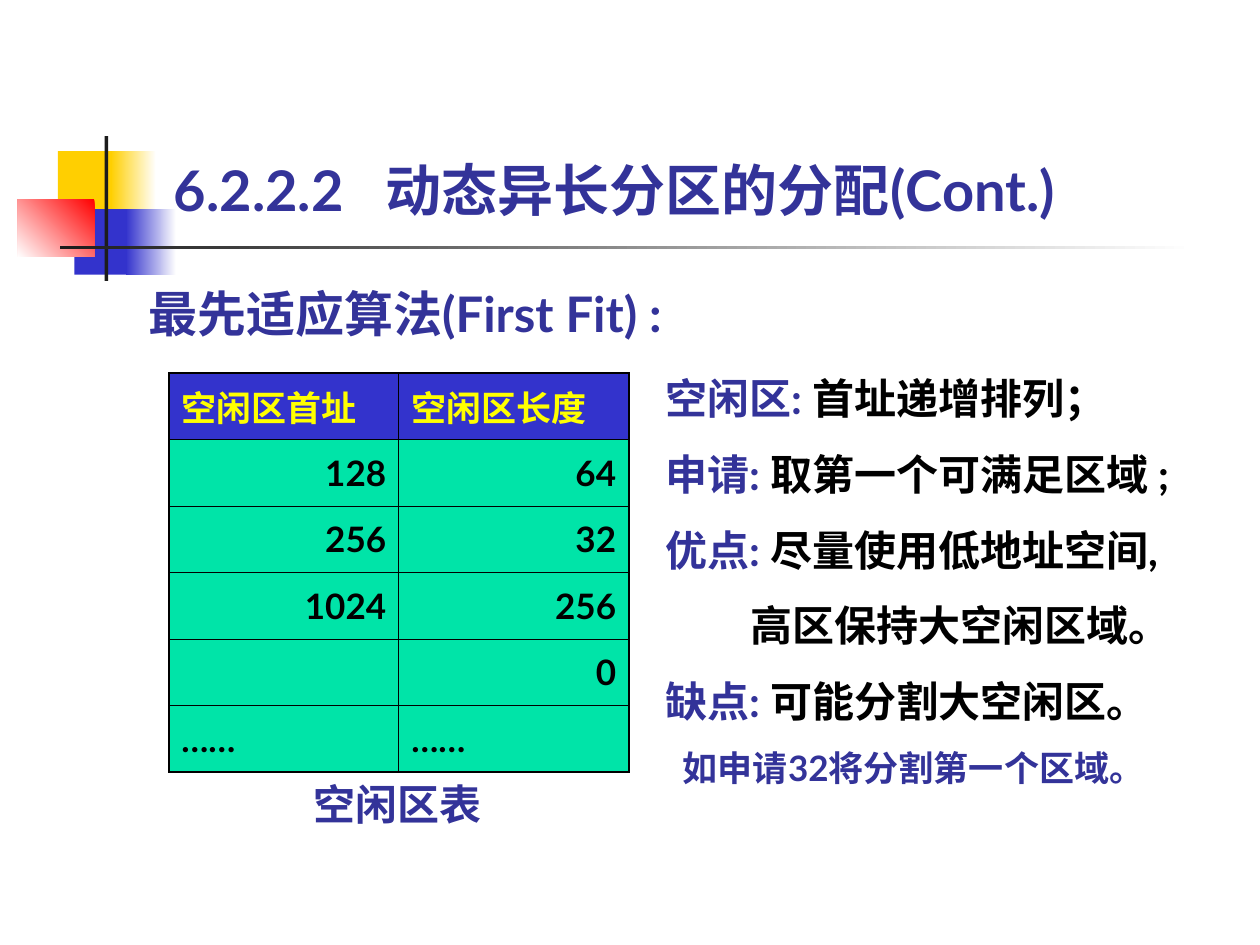
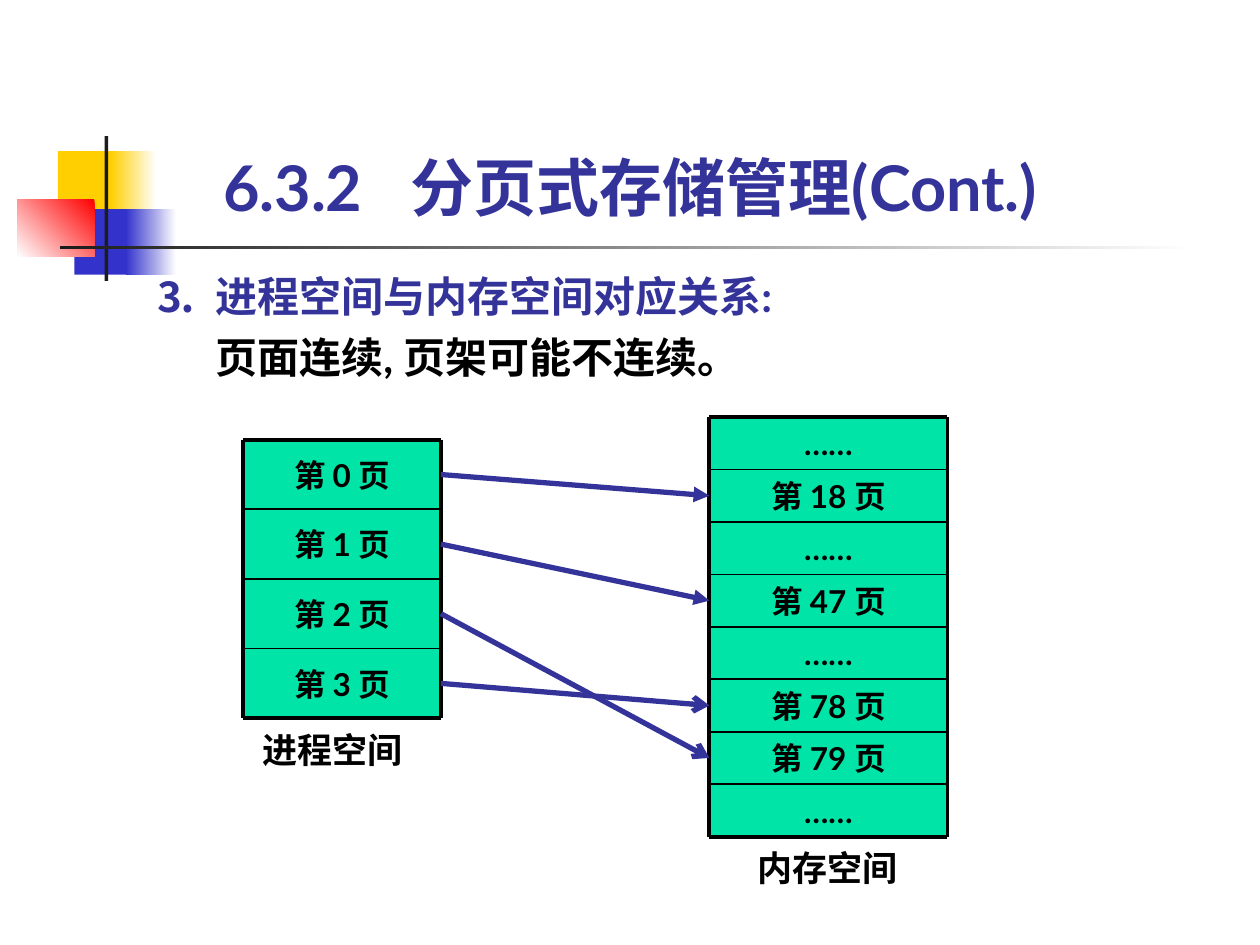
from lxml.etree import SubElement
from pptx import Presentation
from pptx.dml.color import RGBColor
from pptx.enum.shapes import MSO_CONNECTOR, MSO_SHAPE
from pptx.enum.text import MSO_ANCHOR, MSO_AUTO_SIZE, PP_ALIGN
from pptx.oxml.ns import qn
from pptx.util import Inches, Pt

NAVY = RGBColor(0x33, 0x33, 0x99)
BLUE = RGBColor(0x33, 0x33, 0xCC)
GOLD = RGBColor(0xFF, 0xCF, 0x01)
RED = RGBColor(0xFF, 0x00, 0x00)
DARK = RGBColor(0x1C, 0x1C, 0x1C)
GREEN = RGBColor(0x00, 0xE4, 0xA8)
YELLOW = RGBColor(0xFF, 0xFF, 0x00)
BLACK = RGBColor(0x00, 0x00, 0x00)
WHITE = RGBColor(0xFF, 0xFF, 0xFF)

FONT = "Lato"
CAPTION_FONT = "Times New Roman"
THICK, THIN = 2.25, 1
TABLE_EDGE, TABLE_GRID = 1.08, 0.45

BAND = [
    ((0.46, 1.2, 0.48, 0.52), [GOLD], 0),
    ((0.88, 1.2, 0.36, 0.52), [WHITE, GOLD], 180),
    ((0.59, 1.66, 0.46, 0.52), [BLUE], 0),
    ((1, 1.66, 0.4, 0.52), [WHITE, BLUE], 180),
    ((0.14, 1.58, 0.61, 0.46), [RED, WHITE], 135),
    ((0.83, 1.08, 0.03, 1.15), [DARK], 0),
    ((0.48, 1.95, 9, 0.03), [WHITE, DARK], 180),
]

FREE_AREAS = [
    ("空闲区首址", "空闲区长度"),
    ("128", "64"),
    ("256", "32"),
    ("1024", "256"),
    ("", "0"),
    ("……", "……"),
]

FIRST_FIT_NOTES = [
    (0, [("空闲区: ", 24, NAVY), ("首址递增排列；", 24, BLACK)]),
    (0, [("申请: ", 24, NAVY), ("取第一个可满足区域 ;", 24, BLACK)]),
    (0, [("优点: ", 24, NAVY), ("尽量使用低地址空间,", 24, BLACK)]),
    (0.68, [("高区保持大空闲区域。", 24, BLACK)]),
    (0, [("缺点: ", 24, NAVY), ("可能分割大空闲区。", 24, BLACK)]),
    (0.14, [("如申请32将分割第一个区域。", 20, NAVY)]),
]

MAPPING_NOTES = [
    (0, [("⒊\t进程空间与内存空间对应关系:", 24, NAVY)]),
    (0.48, [("页面连续, 页架可能不连续。", 24, BLACK)]),
]

PAGES = ["第 0 页", "第 1 页", "第 2 页", "第 3 页"]
FRAMES = ["……", "第 18 页", "……", "第 47 页", "……", "第 78 页", "第 79 页", "……"]
PAGE_TO_FRAME = [(0, 1, "triangle"), (1, 3, "triangle"), (2, 6, "arrow"), (3, 5, "arrow")]


def format_run(r, size, color, font=FONT):
    r.font.size = Pt(size)
    r.font.name = font
    r.font.bold = True
    r.font.color.rgb = color


def add_tab_stop(p, position):
    tabs = SubElement(p._p.get_or_add_pPr(), qn("a:tabLst"))
    SubElement(tabs, qn("a:tab"), pos=str(Inches(position)), algn="l")


def set_frame(tf, anchor):
    tf.margin_left = tf.margin_right = tf.margin_top = tf.margin_bottom = 0
    tf.word_wrap = True
    tf.auto_size = MSO_AUTO_SIZE.SHAPE_TO_FIT_TEXT
    tf.vertical_anchor = anchor


def add_band(s):
    for box, colors, angle in BAND:
        sp = s.shapes.add_shape(MSO_SHAPE.RECTANGLE, *map(Inches, box))
        sp.shadow.inherit = False
        sp.line.fill.background()
        if len(colors) == 1:
            sp.fill.solid()
            sp.fill.fore_color.rgb = colors[0]
        else:
            sp.fill.gradient()
            sp.fill.gradient_angle = 360 - angle
            for stop, color in zip(sp.fill.gradient_stops, colors):
                stop.color.rgb = color


def add_slide(prs, title, box, size, tab):
    s = prs.slides.add_slide(prs.slide_layouts[5])
    add_band(s)
    sp = s.shapes.title
    sp.left, sp.top, sp.width, sp.height = map(Inches, box)
    tf = sp.text_frame
    tf.text = title
    set_frame(tf, MSO_ANCHOR.BOTTOM)
    p = tf.paragraphs[0]
    p.alignment = PP_ALIGN.LEFT
    add_tab_stop(p, tab)
    format_run(p.runs[0], size, NAVY)
    return s


def add_label(s, text, box, size, color=NAVY, font=FONT, align=PP_ALIGN.CENTER, anchor=MSO_ANCHOR.TOP):
    tf = s.shapes.add_textbox(*map(Inches, box)).text_frame
    set_frame(tf, anchor)
    p = tf.paragraphs[0]
    p.text = text
    p.alignment = align
    format_run(p.runs[0], size, color, font)


def add_notes(s, notes, box, spacing):
    tf = s.shapes.add_textbox(*map(Inches, box)).text_frame
    set_frame(tf, MSO_ANCHOR.TOP)
    for i, (indent, runs) in enumerate(notes):
        p = tf.add_paragraph() if i else tf.paragraphs[0]
        p.line_spacing = spacing
        if indent:
            p._p.get_or_add_pPr().set("marL", str(Inches(indent)))
        for text, size, color in runs:
            r = p.add_run()
            r.text = text
            format_run(r, size, color)
    return tf


def set_border(cell, side, width):
    ln = SubElement(cell._tc.get_or_add_tcPr(), qn(f"a:ln{side}"), w=str(Pt(width)))
    SubElement(SubElement(ln, qn("a:solidFill")), qn("a:srgbClr"), val=str(BLACK))


def add_free_table(s, rows, box):
    last_row, last_col = len(rows) - 1, len(rows[0]) - 1
    table = s.shapes.add_table(len(rows), len(rows[0]), *map(Inches, box)).table
    for i, row in enumerate(rows):
        for j, text in enumerate(row):
            cell = table.cell(i, j)
            outer = {"L": j == 0, "R": j == last_col, "T": i == 0, "B": i == last_row}
            for side, is_edge in outer.items():
                set_border(cell, side, TABLE_EDGE if is_edge else TABLE_GRID)
            cell.fill.solid()
            cell.fill.fore_color.rgb = GREEN if i else BLUE
            cell.vertical_anchor = MSO_ANCHOR.MIDDLE
            cell.text = text
            p = cell.text_frame.paragraphs[0]
            p.alignment = PP_ALIGN.RIGHT if text.isdigit() else PP_ALIGN.LEFT
            for r in p.runs:
                format_run(r, 20, BLACK if i else YELLOW)


def add_line(s, x1, y1, x2, y2, width, color=BLACK):
    cn = s.shapes.add_connector(MSO_CONNECTOR.STRAIGHT, *map(Inches, (x1, y1, x2, y2)))
    cn.line.width = Pt(width)
    cn.line.color.rgb = color
    SubElement(cn._element.spPr, qn("a:effectLst"))
    return cn


def add_memory(s, names, left, top, width, height):
    step = height / len(names)
    right, bottom = left + width, top + height
    cells = []
    for i, name in enumerate(names):
        box = (left, top + i * step, width, step)
        sp = s.shapes.add_shape(MSO_SHAPE.RECTANGLE, *map(Inches, box))
        sp.shadow.inherit = False
        sp.fill.solid()
        sp.fill.fore_color.rgb = GREEN
        sp.line.fill.background()
        tf = sp.text_frame
        tf.text = name
        tf.vertical_anchor = MSO_ANCHOR.MIDDLE
        p = tf.paragraphs[0]
        p.alignment = PP_ALIGN.CENTER
        format_run(p.runs[0], 18, BLACK)
        cells.append(sp)
    for i in range(len(names) + 1):
        y = top + i * step
        add_line(s, left, y, right, y, THICK if i in (0, len(names)) else THIN)
    for x in (left, right):
        add_line(s, x, top, x, bottom, THICK)
    return cells


def add_arrow(s, page, frame, head):
    cn = add_line(s, 0, 0, 1, 1, 3, NAVY)
    cn.begin_connect(page, 3)
    cn.end_connect(frame, 1)
    SubElement(cn.line._get_or_add_ln(), qn("a:tailEnd"), type=head)


def build_first_fit(prs):
    s = add_slide(prs, "6.2.2.2\t动态异长分区的分配(Cont.)", (1.38, 1.24, 7.72, 0.53), 32, 1.68)
    add_label(s, "最先适应算法(First Fit) :", (1.18, 2.25, 4.69, 0.47), 28,
              align=PP_ALIGN.LEFT, anchor=MSO_ANCHOR.BOTTOM)
    add_free_table(s, FREE_AREAS, (1.34, 2.96, 3.65, 3.17))
    add_label(s, "空闲区表", (2.21, 6.18, 1.89, 0.4), 24, anchor=MSO_ANCHOR.BOTTOM)
    add_notes(s, FIRST_FIT_NOTES, (5.28, 2.76, 4.37, 3.6), 1.5)


def build_paging(prs):
    s = add_slide(prs, "6.3.2\t分页式存储管理(Cont.)", (1.77, 1.18, 7.09, 0.6), 36, 1.49)
    tf = add_notes(s, MAPPING_NOTES, (1.23, 2.07, 5.5, 0.96), 1.2)
    add_tab_stop(tf.paragraphs[0], 0.48)
    pages = add_memory(s, PAGES, 1.93, 3.49, 1.57, 2.21)
    add_label(s, "进程空间", (2.01, 5.78, 1.26, 0.33), 20, BLACK, CAPTION_FONT)
    frames = add_memory(s, FRAMES, 5.63, 3.31, 1.89, 3.33)
    add_label(s, "内存空间", (5.94, 6.72, 1.26, 0.33), 20, BLACK, CAPTION_FONT)
    for page, frame, head in PAGE_TO_FRAME:
        add_arrow(s, pages[page], frames[frame], head)


def main():
    prs = Presentation()
    prs.slide_width, prs.slide_height = Inches(10), Inches(7.5)
    build_first_fit(prs)
    build_paging(prs)
    prs.save("out.pptx")


if __name__ == "__main__":
    main()
